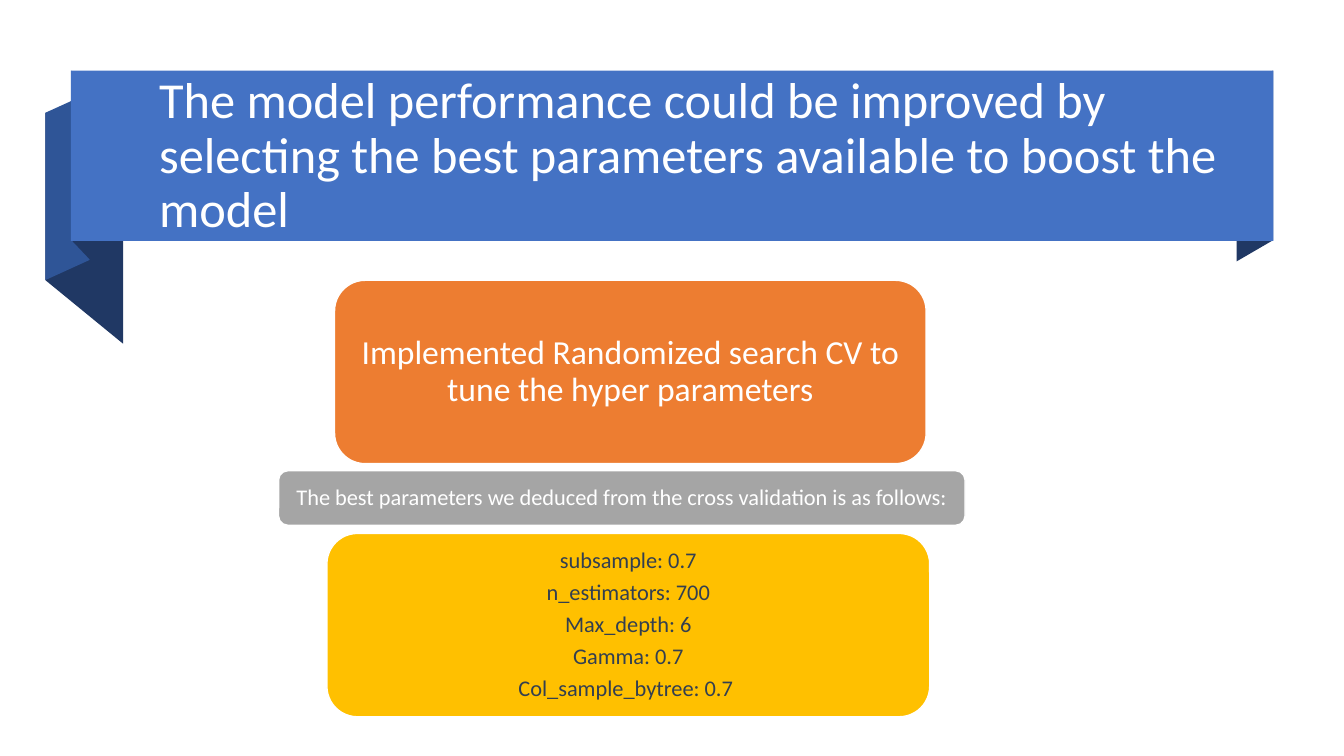
from dataclasses import dataclass

from pptx import Presentation
from pptx.dml.color import RGBColor
from pptx.enum.shapes import MSO_SHAPE as Form
from pptx.enum.text import MSO_ANCHOR as Anchor, PP_ALIGN as Align
from pptx.util import Pt

NAVY, BLUE, MID, WHITE, SLATE = "203864", "4472C4", "2F5597", "FFFFFF", "333F50"


@dataclass
class Fold:
    """A ribbon fold: an upright parallelogram with two slanted edges."""
    left: float
    right: float
    top_left: float
    top_right: float
    height: float
    color: str


@dataclass
class Card:
    left: float
    top: float
    width: float
    height: float
    color: str
    text: str
    size: float
    ink: str = WHITE
    pad: tuple[float, float] = (5, 2.5)


FOLDS = [
    Fold(883.4, 909.4, 65.5, 50.4, 121.2, NAVY),
    Fold(32.4, 87.9, 80.6, 126, 119.5, NAVY),
    Fold(32.4, 64.1, 80.6, 66.2, 119.5, MID),
    Fold(51.1, 64.1, 50.4, 64.1, 121.2, NAVY),
]

CARDS = [
    Card(239, 200.2, 422.6, 131, "ED7D31",
         "Implemented Randomized search CV to tune the hyper parameters",
         24, pad=(7.2, 3.6)),
    Card(199, 336.3, 490.3, 38.9, "A5A5A5",
         "The best parameters we deduced from the cross validation is as follows:", 16),
    Card(233.5, 381, 430.6, 131, "FFC000",
         "subsample: 0.7\nn_estimators: 700\nMax_depth: 6\nGamma: 0.7\n"
         "Col_sample_bytree: 0.7 ", 16, SLATE),
]


def rgb(color: str) -> RGBColor:
    return RGBColor.from_string(color)


def paint(shape, color: str, edge: str | None = None) -> None:
    shape.shadow.inherit = False
    shape.fill.solid()
    shape.fill.fore_color.rgb = rgb(color)
    if edge:
        shape.line.color.rgb = rgb(edge)
        shape.line.width = Pt(1)
    else:
        shape.line.fill.background()


def write(shape, text: str, *, size: float, ink: str = WHITE,
          align=Align.LEFT, after: float = 0,
          pad: tuple[float, float] = (7.2, 3.6)) -> None:
    frame = shape.text_frame
    frame.word_wrap = True
    frame.vertical_anchor = Anchor.MIDDLE
    frame.margin_left = frame.margin_right = Pt(pad[0])
    frame.margin_top = frame.margin_bottom = Pt(pad[1])
    frame.text = text
    for para in frame.paragraphs:
        para.alignment = align
        para.line_spacing = 0.9
        para.space_before = Pt(0)
        para.space_after = Pt(after)
        font = para.runs[0].font
        font.name, font.size = "Calibri", Pt(size)
        font.color.rgb = rgb(ink)


def draw_fold(shapes, fold: Fold) -> None:
    corners = [
        (fold.right, fold.top_right),
        (fold.right, fold.top_right + fold.height),
        (fold.left, fold.top_left + fold.height),
    ]
    pen = shapes.build_freeform(Pt(fold.left), Pt(fold.top_left), scale=1.0)
    pen.add_line_segments([(Pt(x), Pt(y)) for x, y in corners], close=True)
    paint(pen.convert_to_shape(), fold.color)


def draw_card(shapes, card: Card) -> None:
    box = shapes.add_shape(Form.ROUNDED_RECTANGLE, Pt(card.left), Pt(card.top),
                           Pt(card.width), Pt(card.height))
    paint(box, card.color, WHITE)
    write(box, card.text, size=card.size, ink=card.ink, align=Align.CENTER,
          after=0.35 * card.size, pad=card.pad)


def main() -> None:
    deck = Presentation()
    deck.slide_width, deck.slide_height = Pt(960), Pt(540)
    shapes = deck.slides.add_slide(deck.slide_layouts[6]).shapes

    for fold in FOLDS:
        draw_fold(shapes, fold)
    band = shapes.add_shape(Form.RECTANGLE, Pt(50.6), Pt(50.4), Pt(859), Pt(121.7))
    paint(band, BLUE)
    title = shapes.add_textbox(Pt(106.6), Pt(59.8), Pt(787.7), Pt(104.4))
    write(title, "The model performance could be improved by selecting the best "
                 "parameters available to boost the model", size=36)

    for card in CARDS:
        draw_card(shapes, card)
    deck.save("out.pptx")


if __name__ == "__main__":
    main()
